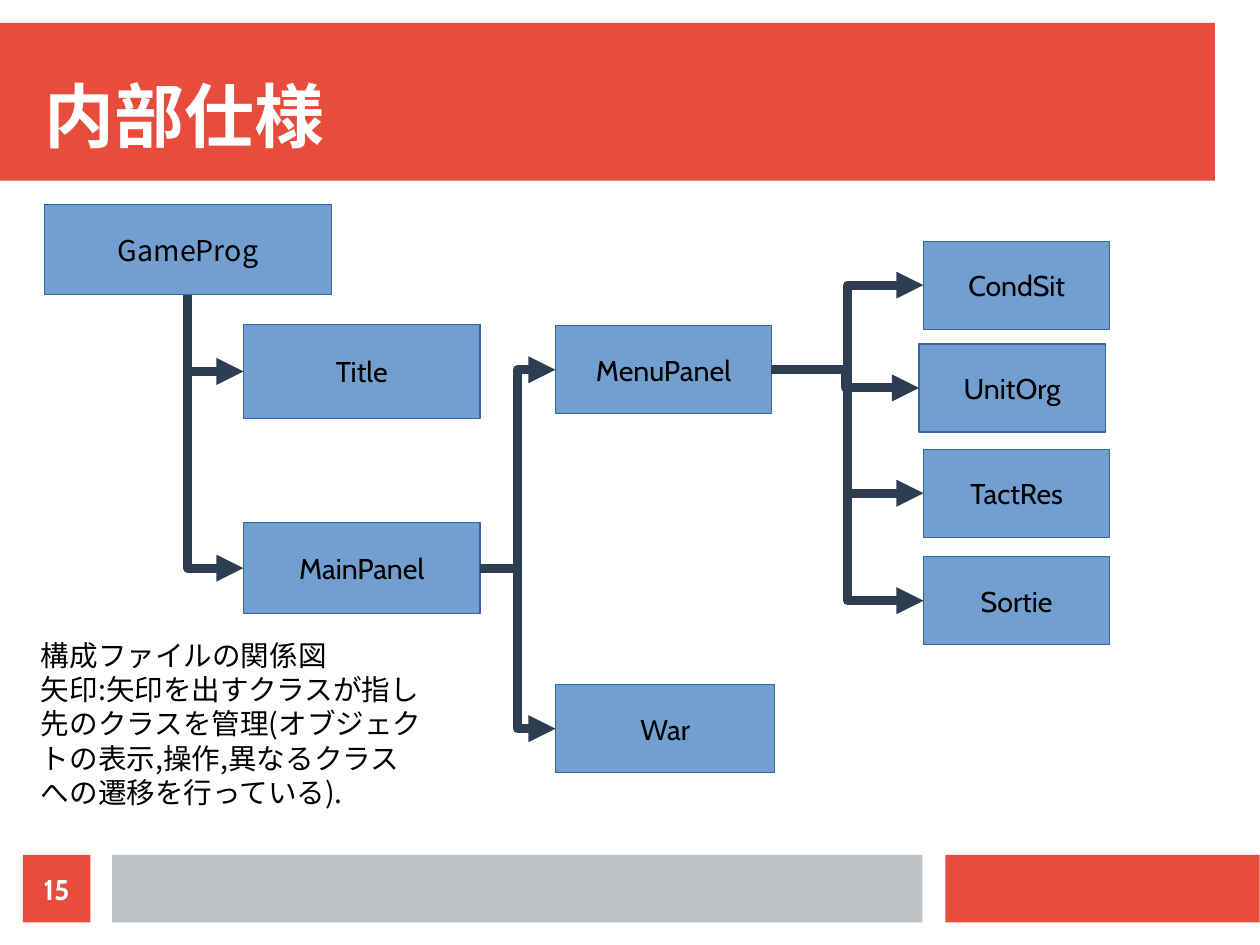
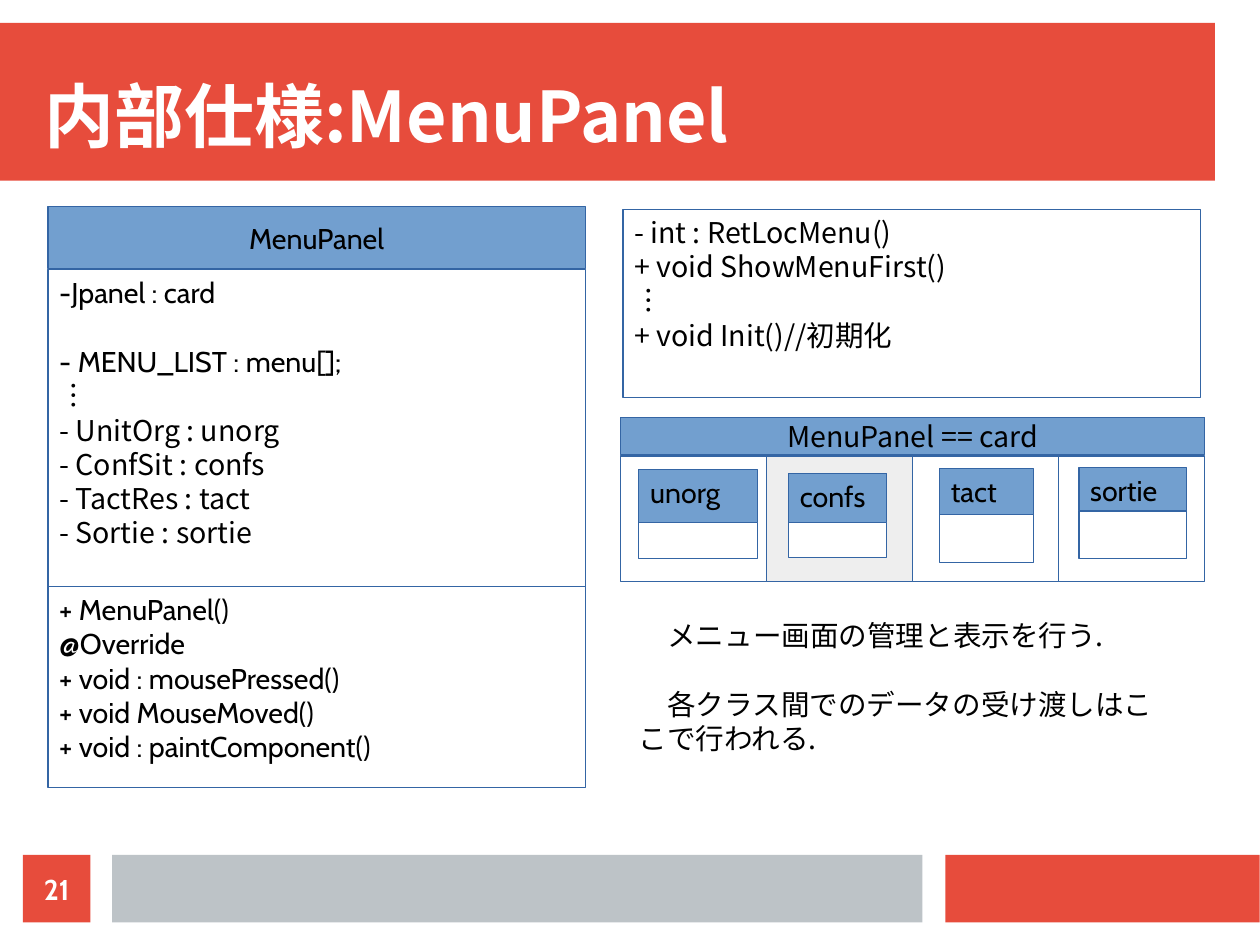
from dataclasses import dataclass
from typing import NamedTuple

from lxml import etree
from pptx import Presentation
from pptx import util as u
from pptx.dml.color import RGBColor
from pptx.enum import shapes, text
from pptx.oxml.ns import qn


# Theme: colours, fonts and type sizes
@dataclass(frozen=True)
class Theme:
    red: str = "E74C3C"
    grey: str = "BDC3C7"
    blue: str = "729FCF"
    outline: str = "3465A4"
    arrow: str = "2C3E50"
    white: str = "FFFFFF"
    shade: str = "EEEEEE"
    black: str = "000000"
    latin: str = "Cabin"
    japanese: str = "Noto Sans CJK JP"
    title_size: float = 44
    body_size: float = 18
    line_pitch: float = 21.6
    arrow_width: float = 5.67


THEME = Theme()


class Area(NamedTuple):
    left: float
    top: float
    width: float
    height: float

    def lengths(self):
        return [u.Inches(value) for value in self]


class Line(NamedTuple):
    text: str
    font: str = THEME.japanese
    skip: bool = False
    indent: float = 0


class ClassBox(NamedTuple):
    name: str
    area: Area
    font: str = THEME.latin


class Card(NamedTuple):
    name: str
    area: Area
    header: float


# Drawing functions
def write(shape, lines: list[Line], *, size: float = THEME.body_size,
          color: str = THEME.black, bold: bool = False, center: bool = False,
          anchor=text.MSO_ANCHOR.TOP, inset: tuple = (0.1, 0.05),
          pitch: float | None = THEME.line_pitch) -> None:
    frame = shape.text_frame
    frame.word_wrap = True
    frame.vertical_anchor = anchor
    frame.margin_left = frame.margin_right = u.Inches(inset[0])
    frame.margin_top = frame.margin_bottom = u.Inches(inset[1])
    for index, line in enumerate(lines):
        para = frame.add_paragraph() if index else frame.paragraphs[0]
        para.alignment = text.PP_ALIGN.CENTER if center else text.PP_ALIGN.LEFT
        if pitch:
            para.line_spacing = u.Pt(pitch)
        if line.skip:
            para.space_before = u.Pt(THEME.line_pitch)
        if line.indent:
            para._p.get_or_add_pPr().set("indent", str(u.Inches(line.indent)))
        run = para.add_run()
        run.text = line.text
        run.font.size = u.Pt(size)
        run.font.bold = bold
        run.font.name = line.font
        run.font.color.rgb = RGBColor.from_string(color)
        east_asian = etree.SubElement(run._r.get_or_add_rPr(), qn("a:ea"))
        east_asian.set("typeface", THEME.japanese)


def add_box(slide, area: Area, fill: str, outline: str | None = None):
    box = slide.shapes.add_shape(shapes.MSO_SHAPE.RECTANGLE, *area.lengths())
    box.shadow.inherit = False
    box.fill.solid()
    box.fill.fore_color.rgb = RGBColor.from_string(fill)
    if outline:
        box.line.color.rgb = RGBColor.from_string(outline)
        box.line.width = u.Pt(0)
    else:
        box.line.fill.background()
    return box


def add_note(slide, area: Area, lines: list[Line], **style) -> None:
    write(slide.shapes.add_textbox(*area.lengths()), lines, **style)


def add_class(slide, item: ClassBox):
    box = add_box(slide, item.area, THEME.blue, THEME.outline)
    write(box, [Line(item.name, item.font)], center=True,
          anchor=text.MSO_ANCHOR.MIDDLE)
    return box


def add_arrow(slide, owner, target, *, down: bool = False) -> None:
    """Elbow arrow to the target's left, from the owner's right or bottom."""
    if down:
        x, y = owner.left + owner.width // 2, owner.top + owner.height
    else:
        x, y = owner.left + owner.width, owner.top + owner.height // 2
    end_x, end_y = target.left, target.top + target.height // 2
    arrow = slide.shapes.add_connector(
        shapes.MSO_CONNECTOR.ELBOW, x, y, end_x, end_y)
    arrow.begin_connect(owner, 2 if down else 3)
    arrow.end_connect(target, 1)
    props = arrow._element.spPr
    if down:
        # One bend, leaving downwards: the frame is turned a quarter
        run, drop = end_x - x, end_y - y
        arrow.left, arrow.top = x + (run - drop) // 2, y + (drop - run) // 2
        arrow.width, arrow.height = drop, run
        frame = props.find(qn("a:xfrm"))
        frame.set("rot", "16200000")
        frame.set("flipH", "1")
        props.find(qn("a:prstGeom")).set("prst", "bentConnector2")
    arrow.line.color.rgb = RGBColor.from_string(THEME.arrow)
    arrow.line.width = u.Pt(THEME.arrow_width)
    etree.SubElement(arrow.line._get_or_add_ln(), qn("a:tailEnd")).set(
        "type", "triangle")
    etree.SubElement(props, qn("a:effectLst"))


def add_page(deck, title: str, number: int):
    """Blank slide with the title band, footer bands and page number."""
    slide = deck.slides.add_slide(deck.slide_layouts[6])
    for area, fill in ((Area(0, 0.2, 10.63, 1.38), THEME.red),
                       (Area(8.27, 7.48, 2.75, 0.59), THEME.red),
                       (Area(0.98, 7.48, 7.09, 0.59), THEME.grey)):
        add_box(slide, area, fill)
    add_note(slide, Area(0.39, 0.39, 10.24, 0.98), [Line(title)],
             size=THEME.title_size, color=THEME.white, bold=True,
             anchor=text.MSO_ANCHOR.BOTTOM, inset=(0, 0), pitch=None)
    badge = add_box(slide, Area(0.2, 7.48, 0.59, 0.59), THEME.red)
    write(badge, [Line(str(number), THEME.latin)], color=THEME.white,
          bold=True, center=True, anchor=text.MSO_ANCHOR.MIDDLE, inset=(0, 0))
    return slide


# Class relations
CLASSES = [
    ClassBox("GameProg", Area(0.39, 1.79, 2.51, 0.79), THEME.japanese),
    ClassBox("Title", Area(2.13, 2.84, 2.07, 0.82)),
    ClassBox("MainPanel", Area(2.13, 4.57, 2.07, 0.8)),
    ClassBox("MenuPanel", Area(4.86, 2.85, 1.89, 0.77)),
    ClassBox("War", Area(4.86, 5.99, 1.92, 0.77)),
    ClassBox("CondSit", Area(8.08, 2.11, 1.63, 0.77)),
    ClassBox("UnitOrg", Area(8.04, 3.01, 1.63, 0.77)),
    ClassBox("TactRes", Area(8.08, 3.93, 1.63, 0.77)),
    ClassBox("Sortie", Area(8.08, 4.87, 1.63, 0.77)),
]
MANAGED = {
    "GameProg": ["Title", "MainPanel"],
    "MainPanel": ["War", "MenuPanel"],
    "MenuPanel": ["CondSit", "UnitOrg", "TactRes", "Sortie"],
}


def build_relations(deck) -> None:
    slide = add_page(deck, "内部仕様", 15)
    boxes = {item.name: add_class(slide, item) for item in CLASSES}
    add_note(slide, Area(0.26, 5.53, 3.53, 1.92), [
        Line("構成ファイルの関係図"),
        Line("矢印:矢印を出すクラスが指し先のクラスを管理(オブジェクトの表示,"
             "操作,異なるクラスへの遷移を行っている)."),
    ])
    for owner, targets in MANAGED.items():
        for target in targets:
            add_arrow(slide, boxes[owner], boxes[target],
                      down=owner == "GameProg")


# MenuPanel class
FIELDS = [
    Line("-Jpanel : card", THEME.latin),
    Line("- MENU_LIST : menu[];", THEME.latin, skip=True),
    Line("︙"),
    Line("- UnitOrg : unorg"),
    Line("- ConfSit : confs"),
    Line("- TactRes : tact"),
    Line("- Sortie : sortie"),
]
OVERRIDES = [Line(method, THEME.latin) for method in (
    "+ MenuPanel()", "@Override", "+ void : mousePressed()",
    "+ void MouseMoved()", "+ void : paintComponent()")]
METHODS = [Line(method) for method in (
    "- int : RetLocMenu()", "+ void ShowMenuFirst()", "︙",
    "+ void Init()//初期化")]
MEMBERS = [
    (Area(0.42, 2.36, 4.7, 2.77), FIELDS),
    (Area(0.42, 5.13, 4.7, 1.76), OVERRIDES),
    (Area(5.45, 1.83, 5.05, 1.65), METHODS),
]
CARDS = [
    Card("unorg", Area(5.59, 4.11, 1.04, 0.78), 0.46),
    Card("confs", Area(6.9, 4.14, 0.86, 0.74), 0.43),
    Card("tact", Area(8.22, 4.1, 0.82, 0.82), 0.4),
    Card("sortie", Area(9.44, 4.09, 0.94, 0.8), 0.38),
]
PANEL_LEFT, PANEL_WIDTH = 5.43, 5.11
CELL_WIDTH = PANEL_WIDTH / len(CARDS)


def add_card(slide, card: Card) -> None:
    left, top, width, height = card.area
    header = add_box(slide, Area(left, top, width, card.header),
                     THEME.blue, THEME.outline)
    write(header, [Line(card.name, THEME.latin)])
    add_box(slide, Area(left, top + card.header, width, height - card.header),
            THEME.white, THEME.outline)


def build_menu_panel(deck) -> None:
    slide = add_page(deck, "内部仕様:MenuPanel", 21)
    add_class(slide, ClassBox("MenuPanel", Area(0.42, 1.81, 4.7, 0.54)))
    for area, lines in MEMBERS:
        write(add_box(slide, area, THEME.white, THEME.outline), lines)

    # Card panel: one cell per card, the shown one shaded
    add_class(slide, ClassBox("MenuPanel == card",
                              Area(PANEL_LEFT, 3.65, PANEL_WIDTH, 0.33),
                              THEME.japanese))
    for column, card in enumerate(CARDS):
        cell = Area(PANEL_LEFT + column * CELL_WIDTH, 3.99, CELL_WIDTH, 1.1)
        add_box(slide, cell,
                THEME.shade if card.name == "confs" else THEME.white,
                THEME.outline)
        add_card(slide, card)

    add_note(slide, Area(5.49, 5.36, 4.93, 1.51), [
        Line("メニュー画面の管理と表示を行う.", indent=0.25),
        Line("各クラス間でのデータの受け渡しはここで行われる.",
             skip=True, indent=0.25),
    ])


def main() -> None:
    deck = Presentation()
    # The page is 28 by 21 centimetres
    deck.slide_width = u.Inches(28 / 2.54)
    deck.slide_height = u.Inches(21 / 2.54)
    build_relations(deck)
    build_menu_panel(deck)
    deck.save("out.pptx")


if __name__ == "__main__":
    main()
